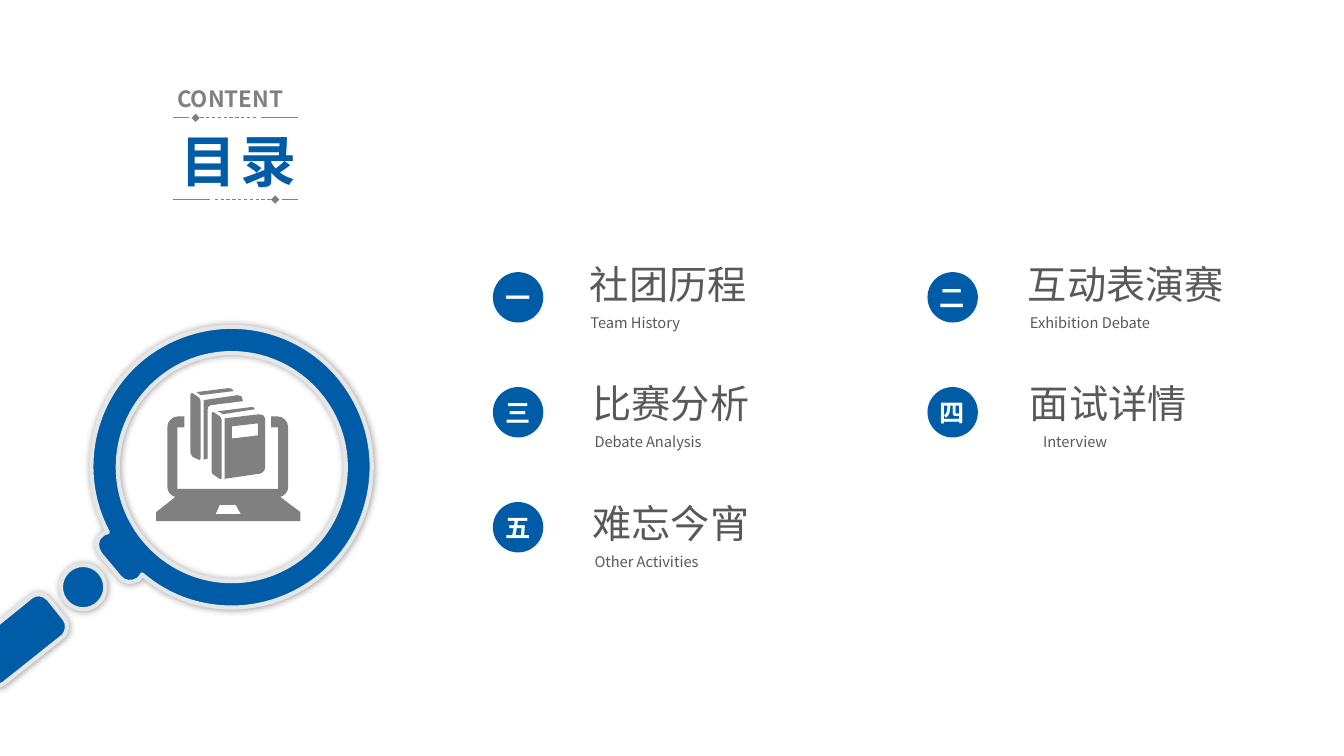
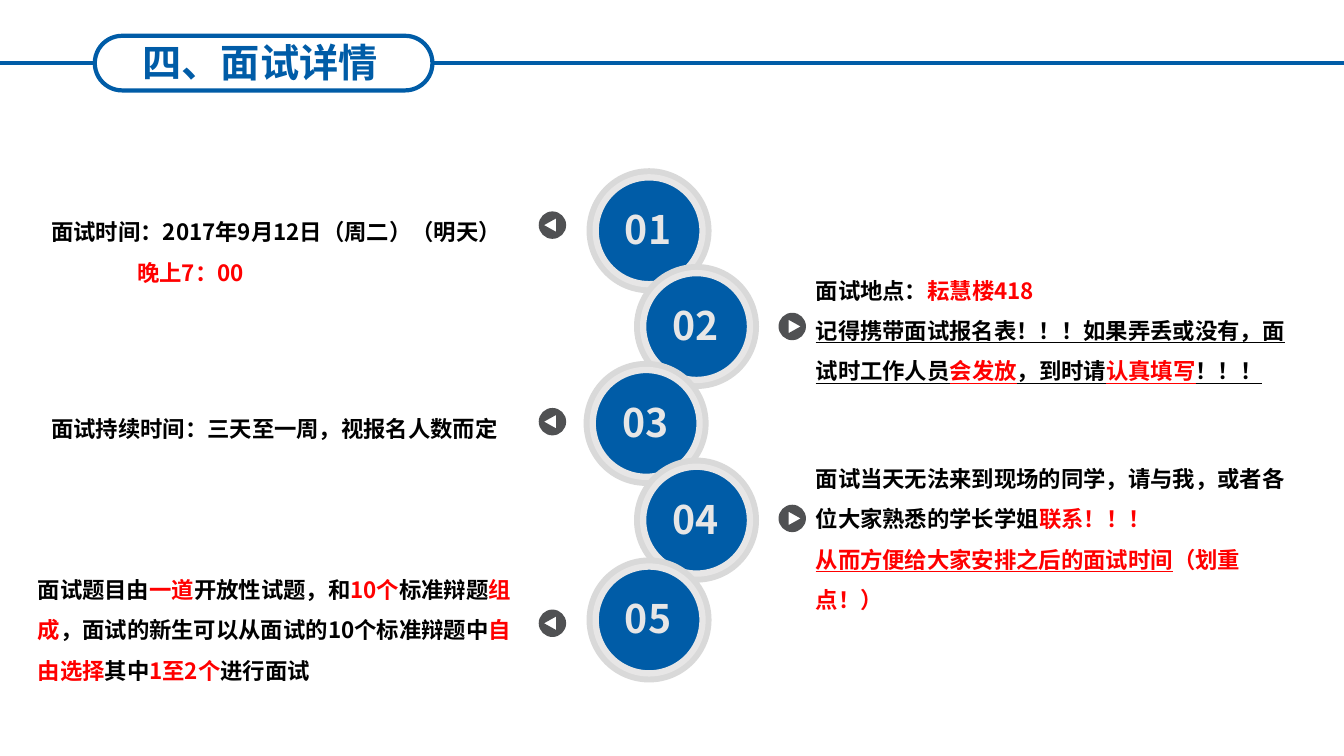
from lxml.etree import SubElement
from pptx import Presentation
from pptx.dml.color import RGBColor
from pptx.enum.dml import MSO_LINE
from pptx.enum.shapes import MSO_CONNECTOR, MSO_SHAPE
from pptx.enum.text import PP_ALIGN
from pptx.oxml.ns import qn
from pptx.util import Pt

BLUE = RGBColor(0x00, 0x5C, 0xA7)
GRAY = RGBColor(0x80, 0x80, 0x80)
DARK = RGBColor(0x59, 0x59, 0x59)
BADGE = RGBColor(0x50, 0x51, 0x53)
SILVER = RGBColor(0xD9, 0xD9, 0xD9)
PALE = RGBColor(0xE7, 0xE6, 0xE6)
WHITE = RGBColor(0xFF, 0xFF, 0xFF)
BLACK = RGBColor(0x00, 0x00, 0x00)
RED = RGBColor(0xFF, 0x00, 0x00)
FONT = "Noto Sans CJK SC"
GRID = 0.72
ROUNDNESS = 0.55

TOPICS = [
    ("一", "社团历程", 126, "Team History", 81, 414.3, 414.7),
    ("二", "互动表演赛", 154, "Exhibition Debate", 104, 727.2, 728.6),
    ("三", "比赛分析", 126, "Debate Analysis", 95, 416.2, 417.6),
    ("四", "面试详情", 126, "Interview", 61, 728.6, 738),
    ("五", "难忘今宵", 126, "Other Activities", 92, 416.2, 417.6),
]

HANDLE = [
    (-27, 639), (-32, 643, -33, 651, -28, 656), (-13, 676),
    (-8, 681, -1, 682, 4, 678), (63, 631), (67, 627, 68, 619, 64, 614),
    (48, 594), (43, 589, 36, 588, 31, 592),
]
RIM = [
    (215, 602), (252, 606, 288, 595, 317, 572), (346, 548, 364, 515, 368, 478),
    (372, 441, 361, 405, 338, 376), (315, 347, 281, 329, 245, 325),
    (208, 321, 171, 332, 142, 355), (90, 397, 76, 470, 107, 528),
    (105, 528, 103, 529, 102, 530), (101, 531),
    (95, 535, 95, 543, 99, 549), (119, 573),
    (123, 578, 131, 579, 137, 575), (138, 574),
    (139, 573, 140, 572, 141, 570), (162, 588, 187, 599, 215, 602),
]
LAPTOP = [
    [(176, 424), (183, 424), (183, 413), (177, 413),
     (171, 413, 166, 418, 166, 424), (166, 483),
     (166, 488, 170, 492, 174, 493), (155, 508), (155, 517), (298, 517),
     (298, 508), (278, 493), (282, 492, 286, 488, 286, 483), (286, 424),
     (286, 418, 281, 413, 275, 413), (269, 413), (269, 424), (276, 424),
     (276, 485), (176, 485)],
    [(218, 501), (234, 501), (239, 510), (214, 510)],
]
BACK_BOOK = [
    [(195, 389), (199, 392), (232, 388), (231, 386, 229, 385, 227, 385)],
    [(191, 390), (197, 394), (198, 395, 199, 396, 199, 398), (199, 455),
     (199, 456, 198, 457, 197, 456), (191, 453),
     (190, 452, 189, 450, 189, 449), (189, 392), (189, 390, 190, 390, 191, 390)],
    [(202, 397), (236, 392), (239, 392, 241, 394, 241, 397), (241, 398),
     (209, 402), (206, 403, 206, 404, 206, 407), (206, 455), (202, 456)],
]
FRONT_BOOK = [
    [(216, 408), (220, 410), (220, 410, 220, 411, 221, 411), (253, 406),
     (253, 405, 251, 403, 248, 404)],
    [(212, 409), (218, 413), (219, 413, 220, 415, 220, 417), (220, 474),
     (220, 475, 219, 476, 218, 475), (212, 471),
     (211, 471, 210, 469, 210, 468), (210, 411), (210, 409, 211, 408, 212, 409)],
    [(223, 415), (257, 411), (260, 411, 263, 412, 263, 415), (263, 464),
     (263, 467, 260, 470, 257, 470), (223, 475)],
    [(230, 423), (256, 420), (256, 432), (230, 435)],
]

STEPS = [
    (419, 120.2, 160.8, 29.5, 142.9, 65, [
        [("面试时间：2017年9月12日（周二）（明天）", BLACK, False)],
        [("晚上7：00", RED, False)],
    ]),
    (452.9, 188.6, 233.2, 575.6, 184.6, 113, [
        [("面试地点：", BLACK, False), ("耘慧楼418", RED, False)],
        [("记得携带面试报名表！！！如果弄丢或没有，面试时工作人员", BLACK, True),
         ("会发放", RED, True), ("，到时请", BLACK, True),
         ("认真填写", RED, True), ("！！！", BLACK, True)],
    ]),
    (416.9, 257.8, 301.2, 29.5, 283.3, 36, [
        [("面试持续时间：三天至一周，视报名人数而定", BLACK, False)],
    ]),
    (452.9, 326.9, 370.3, 575.6, 319.2, 122.4, [
        [("面试当天无法来到现场的同学，请与我，或者各位大家熟悉的学长学姐", BLACK, False),
         ("联系！！！", RED, False)],
        [("从而方便给大家安排之后的面试时间", RED, True), ("（划重点！）", RED, False)],
    ]),
    (419, 398.2, 445.2, 19.9, 398.4, 122.4, [
        [("面试题目由", BLACK, False), ("一道", RED, False),
         ("开放性试题，和", BLACK, False), ("10个", RED, False),
         ("标准辩题", BLACK, False), ("组成", RED, False),
         ("，面试的新生可以从面试的10个标准辩题中", BLACK, False),
         ("自由选择", RED, False), ("其中", BLACK, False),
         ("1至2个", RED, False), ("进行面试", BLACK, False)],
    ]),
]


def add_span(para, text, size, color, bold=False, underline=False):
    span = para.add_run()
    span.text = text
    font = span.font
    font.size = Pt(size)
    font.bold = bold
    font.underline = underline
    font.color.rgb = color
    font.name = FONT
    SubElement(font._element, qn("a:ea")).set("typeface", FONT)
    return span


def add_label(page, left, top, width, height, text, size, color,
              bold=False, align=PP_ALIGN.LEFT, wrap=True):
    box = page.shapes.add_textbox(Pt(left), Pt(top), Pt(width), Pt(height))
    box.text_frame.word_wrap = wrap
    para = box.text_frame.paragraphs[0]
    para.alignment = align
    return add_span(para, text, size, color, bold)


def add_paragraphs(page, left, top, height, paragraphs):
    box = page.shapes.add_textbox(Pt(left), Pt(top), Pt(355), Pt(height))
    frame = box.text_frame
    frame.word_wrap = True
    for index, spans in enumerate(paragraphs):
        para = frame.add_paragraph() if index else frame.paragraphs[0]
        para.line_spacing = 1.5
        for text, color, underline in spans:
            add_span(para, text, 16, color, True, underline)
    return frame


def paint(shape, fill, line=None, width=0):
    shape.shadow.inherit = False
    if fill is None:
        shape.fill.background()
    else:
        shape.fill.solid()
        shape.fill.fore_color.rgb = fill
    if line is None:
        shape.line.fill.background()
    else:
        shape.line.color.rgb = line
        shape.line.width = Pt(width)
    return shape


def add_disc(page, left, top, size, fill, line=None, width=0):
    disc = page.shapes.add_shape(MSO_SHAPE.OVAL, Pt(left), Pt(top), Pt(size), Pt(size))
    return paint(disc, fill, line, width)


def add_line(page, start, end, y, color, width):
    line = page.shapes.add_connector(MSO_CONNECTOR.STRAIGHT, Pt(start), Pt(y), Pt(end), Pt(y))
    line.line.color.rgb = color
    line.line.width = Pt(width)
    SubElement(line._element.spPr, qn("a:effectLst"))
    return line


def circle(x, y, radius):
    outline = [(x + radius, y)]
    for a, b in [(1, 0), (0, 1), (-1, 0), (0, -1)]:
        c, d = -b, a
        outline.append((x + radius * (a + ROUNDNESS * c), y + radius * (b + ROUNDNESS * d),
                        x + radius * (c + ROUNDNESS * a), y + radius * (d + ROUNDNESS * b),
                        x + radius * c, y + radius * d))
    return outline


def bend(shape, segment, curve, unit):
    bezier = segment.makeelement(qn("a:cubicBezTo"))
    for x, y in zip(curve[::2], curve[1::2]):
        SubElement(bezier, qn("a:pt"), x=str(Pt(x * unit) - shape.left),
                   y=str(Pt(y * unit) - shape.top))
    segment.getparent().replace(segment, bezier)


def add_outline(page, outlines, unit, fill, line=None, width=0):
    builder = None
    for outline in outlines:
        points = [(Pt(item[-2] * unit), Pt(item[-1] * unit)) for item in outline]
        if builder is None:
            builder = page.shapes.build_freeform(*points[0])
        else:
            builder.move_to(*points[0])
        builder.add_line_segments(points[1:], close=True)
    shape = builder.convert_to_shape()
    segments = list(shape._element.spPr.iter(qn("a:lnTo")))
    items = [item for outline in outlines for item in outline[1:]]
    for segment, item in zip(segments, items):
        if len(item) == 6:
            bend(shape, segment, item, unit)
    return paint(shape, fill, line, width)


def add_soft_shadow(shape):
    effects = shape._element.spPr.find(qn("a:effectLst"))
    shadow = SubElement(effects, qn("a:outerShdw"), blurRad=str(Pt(5)), dist="0", dir="0",
                        algn="ctr", rotWithShape="0")
    color = SubElement(shadow, qn("a:srgbClr"), val=str(BLACK))
    SubElement(color, qn("a:alpha"), val="40000")


def add_ornament(page, y, mirrored):
    pieces = [(213, 186.5), (183, 139.8), (134.8, 123.4)]
    for index, (start, end) in enumerate(pieces):
        if mirrored:
            start, end = 336.4 - start, 336.4 - end
        line = add_line(page, start, end, y, GRAY, 0.6)
        if index == 1:
            line.line.dash_style = MSO_LINE.DASH
            SubElement(line.line._get_or_add_ln(), qn("a:tailEnd"), type="diamond")


def add_magnifier(page):
    glass = circle(230, 463.5, 113.1)
    joint = circle(82.5, 582.5, 22)
    lens = add_outline(page, [HANDLE, RIM, glass, joint], GRID, BLUE, PALE, 3)
    add_soft_shadow(lens)
    add_outline(page, LAPTOP + BACK_BOOK + FRONT_BOOK, GRID, GRAY)


def add_arrow_badge(page, x, y, direction):
    triangle = [(x + direction * 6, y), (x - direction * 2.6, y + 4.8),
                (x - direction * 2.6, y - 4.8)]
    add_outline(page, [circle(x, y, 9.8), triangle], 1, BADGE)


def add_title_band(page, title):
    pill = page.shapes.add_shape(MSO_SHAPE.ROUNDED_RECTANGLE,
                                 Pt(67.7), Pt(25.6), Pt(241.2), Pt(39))
    pill.adjustments[0] = 0.5
    paint(pill, None, BLUE, 3)
    add_line(page, 308.9, 960, 45.1, BLUE, 3).begin_connect(pill, 3)
    add_line(page, 0, 67.7, 45.1, BLUE, 3).end_connect(pill, 1)
    add_label(page, 64, 23.8, 243.4, 43, title, 28, BLUE, True, PP_ALIGN.CENTER)


def build_contents(page):
    add_ornament(page, 84.2, False)
    title = add_label(page, 104.6, 86.8, 131.8, 55.4, "目录", 40, BLUE, True, PP_ALIGN.CENTER)
    title.font._element.set("spc", "300")
    add_ornament(page, 142.6, True)
    add_label(page, 119.5, 57.6, 98, 26.6, "CONTENT", 16, GRAY, True)
    for index, topic in enumerate(TOPICS):
        numeral, name, name_width, english, english_width, name_left, english_left = topic
        row, column = divmod(index, 2)
        top = 182.4 + 85.3 * row
        add_label(page, name_left, top, name_width, 43, name, 28, DARK, wrap=False)
        add_label(page, english_left, top + 38, english_width, 21, english, 10.5, DARK,
                  wrap=False)
        left, disc_top = 352.1 + 310.4 * column, 194.4 + 82.1 * row
        add_disc(page, left, disc_top, 36, BLUE)
        add_label(page, left + 1.7, disc_top + 3.7, 31, 29, numeral, 18, WHITE, True)
    add_magnifier(page)


def build_interview(page):
    for index, step in enumerate(STEPS):
        left, top, badge_y, text_left, text_top, text_height, paragraphs = step
        on_right = index % 2 == 1
        add_arrow_badge(page, 565.9 if on_right else 394.6, badge_y, 1 if on_right else -1)
        add_disc(page, left, top, 89.3, SILVER)
        add_disc(page, left + 6.5, top + 6.5, 76.3, BLUE, PALE, 4.5)
        add_label(page, left + 19.4, top + 23, 49, 41, f"{index + 1:02}", 28, PALE, True,
                  PP_ALIGN.CENTER)
        frame = add_paragraphs(page, text_left, text_top, text_height, paragraphs)
        if index == 0:
            frame.paragraphs[1]._p.get_or_add_pPr().set("marL", str(Pt(61.5)))
    add_title_band(page, "四、面试详情")


def main():
    deck = Presentation()
    deck.slide_width = Pt(960)
    deck.slide_height = Pt(540)
    for build in (build_contents, build_interview):
        build(deck.slides.add_slide(deck.slide_layouts[6]))
    deck.save("out.pptx")


if __name__ == "__main__":
    main()
